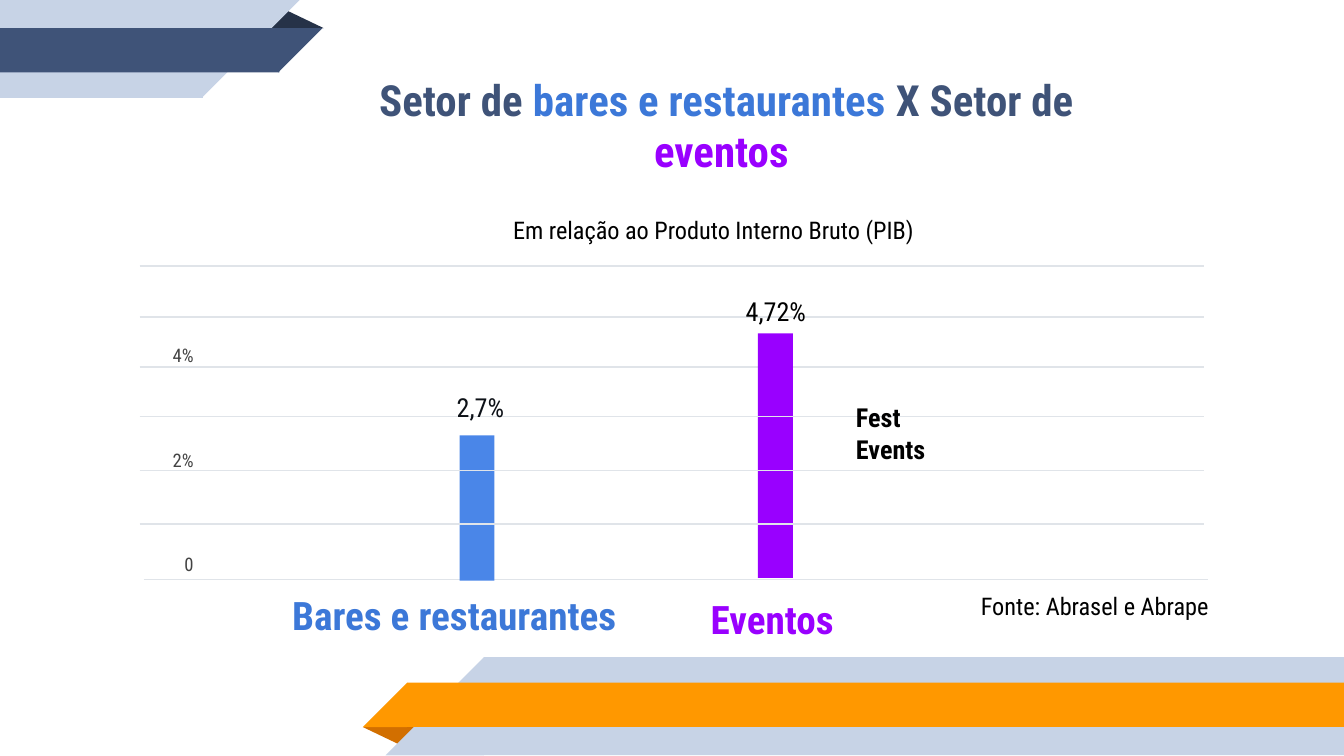
"""Build the slide comparing bars and restaurants with events by share of GDP."""
from dataclasses import dataclass

from lxml.etree import SubElement
from pptx import Presentation
from pptx.dml.color import RGBColor
from pptx.enum.shapes import MSO_CONNECTOR, MSO_SHAPE
from pptx.enum.text import MSO_ANCHOR, PP_ALIGN
from pptx.oxml.ns import qn
from pptx.util import Inches, Pt


@dataclass(frozen=True)
class Theme:
    font: str = "Roboto Condensed"
    navy: str = "3F5378"
    dark_navy: str = "263248"
    pale: str = "C7D3E6"
    orange: str = "FF9800"
    dark_orange: str = "D26F00"
    blue: str = "3C78D8"
    bar_blue: str = "4A86E8"
    purple: str = "9900FF"
    grid: str = "E0E4E9"
    black: str = "000000"
    near_black: str = "0D1117"
    axis: str = "434343"
    title_size: int = 23
    category_size: int = 21
    value_size: int = 14
    note_size: int = 13
    axis_size: int = 10


theme = Theme()
presentation = Presentation()
presentation.slide_width = Inches(10)
presentation.slide_height = Inches(10) * 9 // 16
slide = presentation.slides.add_slide(presentation.slide_layouts[5])


def add_block(preset, box, color, rotation=0):
    block = slide.shapes.add_shape(preset, *map(Inches, box))
    block.shadow.inherit = False
    block.fill.solid()
    block.fill.fore_color.rgb = RGBColor.from_string(color)
    block.line.fill.background()
    block.rotation = rotation
    return block


def style_run(run, size, color, bold=False):
    run.font.name = theme.font
    run.font.size = Pt(size)
    run.font.bold = bold
    run.font.color.rgb = RGBColor.from_string(color)


RECT, CORNER, FOLD = MSO_SHAPE.RECTANGLE, MSO_SHAPE.RIGHT_TRIANGLE, MSO_SHAPE.ISOSCELES_TRIANGLE
ribbons = [
    (FOLD, (2.7, 5.41, 0.43, 0.14), theme.dark_orange, 180),
    (RECT, (3.6, 4.89, 6.4, 0.73), theme.pale, 0),
    (CORNER, (2.87, 4.89, 0.73, 0.73), theme.pale, 270),
    (RECT, (3.03, 5.08, 6.97, 0.33), theme.orange, 0),
    (CORNER, (2.7, 5.08, 0.33, 0.33), theme.orange, 270),
    (FOLD, (1.98, 0.07, 0.43, 0.14), theme.dark_navy, 0),
    (RECT, (0, 0, 1.51, 0.73), theme.pale, 0),
    (CORNER, (1.5, 0, 0.73, 0.73), theme.pale, 90),
    (RECT, (0, 0.21, 2.08, 0.33), theme.navy, 0),
    (CORNER, (2.07, 0.21, 0.33, 0.33), theme.navy, 90),
]
for preset, box, color, rotation in ribbons:
    ribbon = add_block(preset, box, color, rotation)
    if preset == FOLD:
        ribbon.adjustments[0] = 0.32

title = slide.shapes.title
title.left, title.top, title.width, title.height = map(Inches, (2.53, 0.51, 5.75, 0.84))
title.text_frame.word_wrap = True
title.text_frame.vertical_anchor = MSO_ANCHOR.MIDDLE
title.text_frame.margin_top = title.text_frame.margin_bottom = Inches(0.1)
heading = title.text_frame.paragraphs[0]
heading.alignment = PP_ALIGN.CENTER
for wording, color in [
    ("Setor de ", theme.navy),
    ("bares e restaurantes", theme.blue),
    (" X Setor de ", theme.navy),
    ("eventos ", theme.purple),
]:
    part = heading.add_run()
    part.text = wording
    style_run(part, theme.title_size, color, True)

back_grid = [(1.04, 2.36), (1.04, 2.73), (1.07, 4.31)]
front_grid = [(1.04, 1.98), (1.04, 3.1), (1.04, 3.5), (1.04, 3.9)]
bars = [((3.42, 3.24, 0.26, 1.08), theme.bar_blue), ((5.64, 2.48, 0.26, 1.82), theme.purple)]
for grid, layer_bars in [(back_grid, bars), (front_grid, [])]:
    for left, height in grid:
        gridline = slide.shapes.add_connector(
            MSO_CONNECTOR.STRAIGHT, Inches(left), Inches(height), Inches(left + 7.92), Inches(height)
        )
        gridline.line.color.rgb = RGBColor.from_string(theme.grid)
        gridline.line.width = Pt(0.75)
        SubElement(gridline._element.spPr, qn("a:effectLst"))
    for box, color in layer_bars:
        add_block(RECT, box, color)

LEFT, CENTER, RIGHT = PP_ALIGN.LEFT, PP_ALIGN.CENTER, PP_ALIGN.RIGHT
labels = [
    ("4%\n2%\n0", (1.04, 2.56, 0.4, 1.74), 0, RIGHT, theme.axis_size, theme.axis, False),
    ("4,72%", (5.45, 2.1, 0.66, 0.44), 0.1, LEFT, theme.value_size, theme.black, False),
    ("2,7%", (3.3, 2.81, 0.66, 0.44), 0.1, LEFT, theme.value_size, theme.near_black, False),
    ("Fest Events", (6.27, 2.89, 0.75, 0.67), 0.1, LEFT, theme.value_size, theme.black, True),
    ("Bares e restaurantes", (1.97, 4.3, 2.82, 0.56), 0.1, CENTER, theme.category_size, theme.blue, True),
    ("Eventos", (5, 4.33, 1.49, 0.56), 0.1, CENTER, theme.category_size, theme.purple, True),
    ("Fonte: Abrasel e Abrape", (7.2, 4.3, 2.24, 0.42), 0.1, LEFT, theme.note_size, theme.black, False),
    ("Em relação ao Produto Interno Bruto (PIB)", (3.72, 1.5, 3.7, 0.42), 0.1, LEFT,
     theme.note_size, theme.black, False),
]
for wording, box, inset, alignment, size, color, bold in labels:
    frame = slide.shapes.add_textbox(*map(Inches, box)).text_frame
    frame.word_wrap = True
    frame.margin_left = frame.margin_right = frame.margin_top = frame.margin_bottom = Inches(inset)
    frame.text = wording
    for position, paragraph in enumerate(frame.paragraphs):
        paragraph.alignment = alignment
        if position:
            paragraph.space_before = Pt(44)
        style_run(paragraph.runs[0], size, color, bold)

presentation.save("out.pptx")
